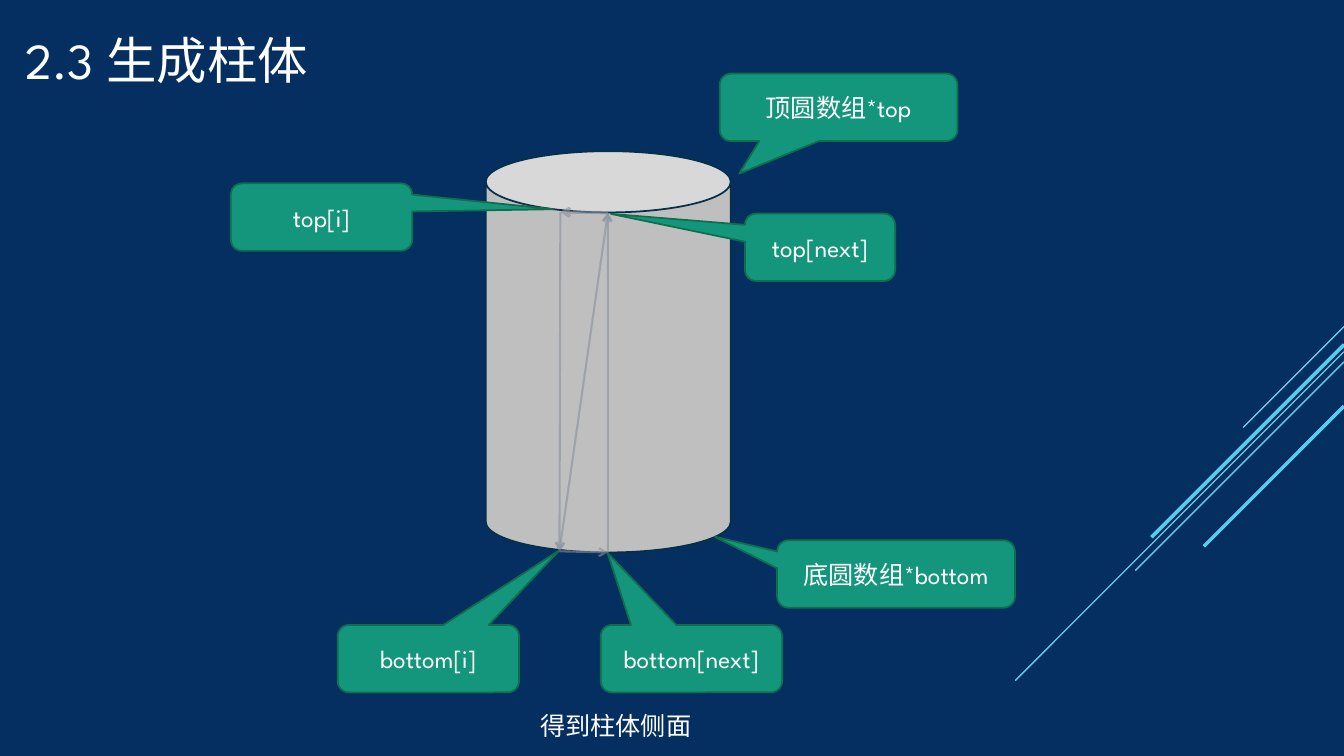
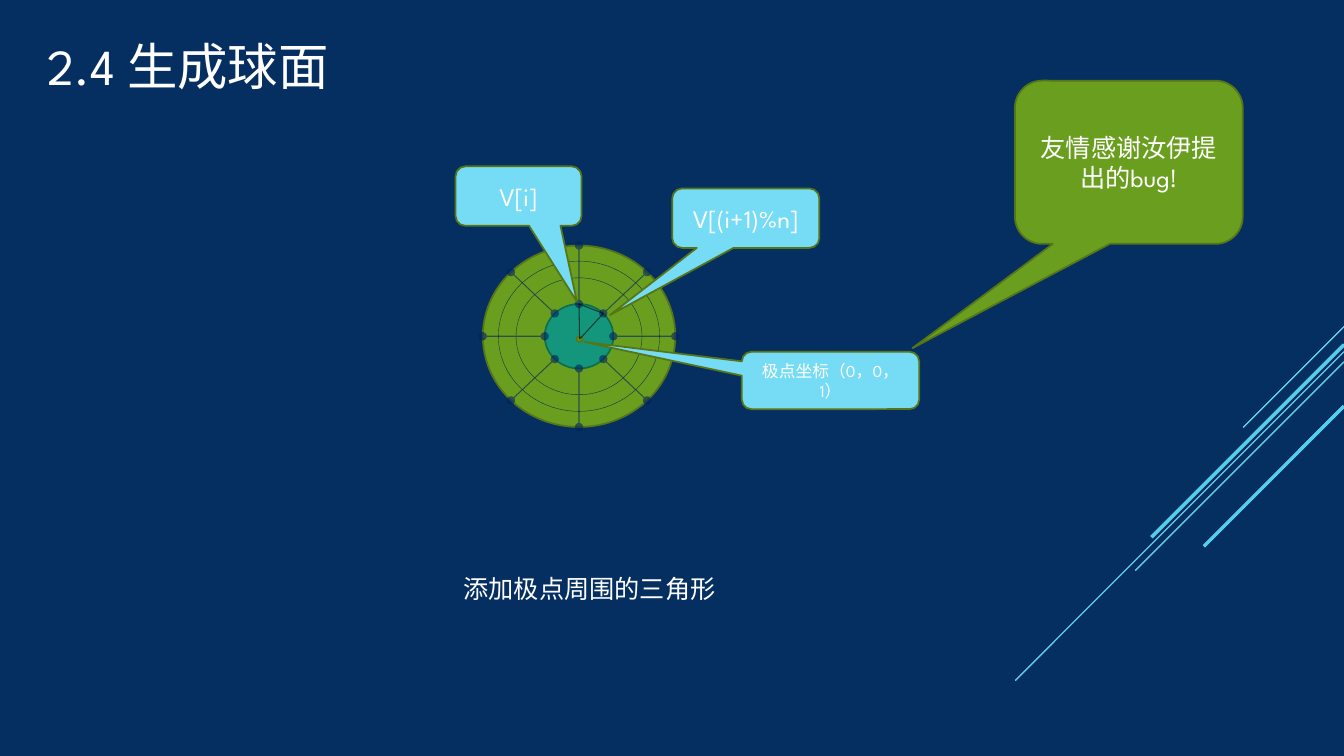
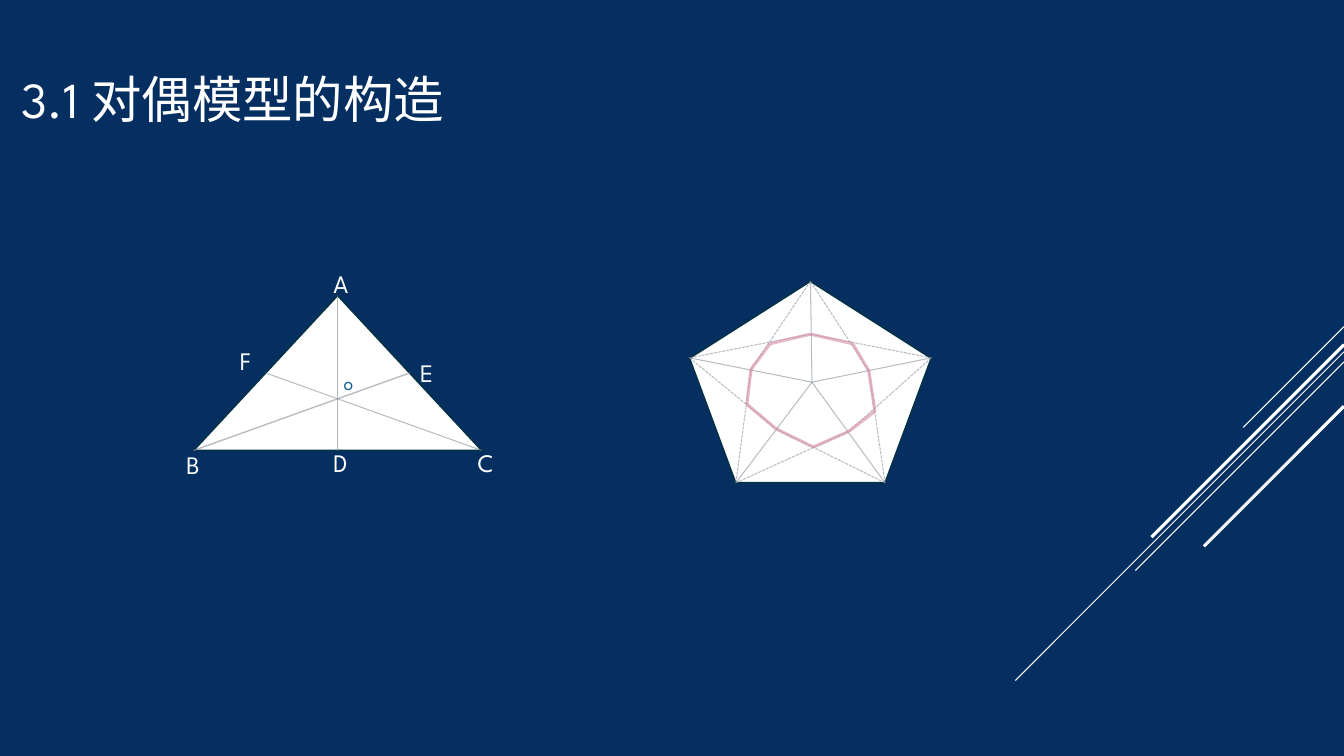
from itertools import pairwise
from math import cos, radians, sin

from pptx import Presentation
from pptx.dml.color import RGBColor
from pptx.enum.dml import MSO_LINE
from pptx.enum.shapes import MSO_CONNECTOR, MSO_SHAPE
from pptx.enum.text import MSO_ANCHOR, PP_ALIGN
from pptx.oxml.ns import qn
from pptx.util import Pt
from lxml.etree import SubElement

FONT = "League Spartan"
NAVY = RGBColor(0x05, 0x2F, 0x61)
WHITE = RGBColor(0xFF, 0xFF, 0xFF)
BLACK = RGBColor(0, 0, 0)
CYAN = RGBColor(0x22, 0xC5, 0xED)
SKY = RGBColor(0x76, 0xDB, 0xF4)
TEAL = RGBColor(0x14, 0x96, 0x7C)
DARK_TEAL = RGBColor(0x0F, 0x6F, 0x4C)
GREEN = RGBColor(0x6A, 0x9E, 0x1F)
DARK_GREEN = RGBColor(0x56, 0x75, 0x17)
SILVER = RGBColor(0xBF, 0xBF, 0xBF)
GREY = RGBColor(0x89, 0x91, 0x9C)
INK = RGBColor(0x04, 0x31, 0x48)
SPOKE_BLUE = RGBColor(0x00, 0x20, 0x60)
LABEL_BLUE = RGBColor(0x14, 0x61, 0x94)
PINK = RGBColor(0xD6, 0x8B, 0xA6)

SLIDE_W, SLIDE_H = 960, 540

# Diagonal streaks: height at the right edge, horizontal run, weight
STREAKS = [
    (233.3, 72, 0.75),
    (251.3, 234.7, 0.75),
    (258.5, 149, 0.75),
    (246.2, 137.5, 2.25),
    (290.2, 100, 2.25),
]

# Cylinder: corners of the side strip, then callouts as text, box, tip
CYLINDER = (347, 108, 175, 286.6)
TOP_I, TOP_NEXT = (400.3, 151.5), (434.2, 151.9)
BOTTOM_I, BOTTOM_NEXT = (399.6, 393.8), (434.2, 394.6)
CYLINDER_CALLOUTS = [
    ("bottom[i]", (241.2, 446.4, 129.6, 48.2), (399.7, 393)),
    ("顶圆数组*top", (514.1, 52.6, 169.9, 48.2), (528, 124.1)),
    ("底圆数组*bottom", (555.1, 385.9, 169.9, 48.2), (510.6, 383.4)),
    ("bottom[next]", (429.1, 446.4, 129.6, 48.2), (434, 394.9)),
    ("top[i]", (164.9, 131, 129.6, 48.2), (395.4, 149.5)),
    ("top[next]", (532.1, 152.6, 107.3, 48.2), (436.3, 152.8)),
]

# Sphere seen from its pole: circles as width, height
SPHERE_CENTRE, POLE = (413.6, 240.2), (414, 242.3)
SPHERE, CAP, POLE_DOT = (137.5, 129.6), (49, 46.1), (4.3, 3.6)
PARALLELS = [(90, 83.5), (115.2, 107.3)]
SPHERE_CALLOUTS = [
    ("V[i]", (325.4, 118.8, 90, 42.5), (412.1, 215.4), SKY, 18),
    ("V[(i+1)%n]", (480.2, 134.6, 105.1, 42.5), (435.7, 225.1), SKY, 18),
    ("极点坐标（0，0，1）", (529.9, 251.3, 126.7, 41), (417.5, 244.3), SKY, 12),
    ("友情感谢汝伊提出的bug!", (725, 57.6, 162.7, 116.6), (651.8, 248.7), GREEN, 18),
]

# Triangle with its medians, and labels as text, left, top, size, colour
TRIANGLE = A, B, C = (241.2, 211), (138.2, 321.8), (344.2, 321.8)
LABELS = [
    ("D", 231.1, 316.1, 18, WHITE),
    ("B", 126, 317.5, 18, WHITE),
    ("C", 334.1, 316.1, 18, WHITE),
    ("E", 293, 252, 18, WHITE),
    ("A", 231.1, 187.9, 18, WHITE),
    ("F", 164.2, 243.4, 18, WHITE),
    ("o", 238.3, 261.4, 14, LABEL_BLUE),
]

# Pentagon, clockwise from the top; odd points of the dual lie on its spokes
PENTAGON = (492.5, 200.9, 172.8, 144)
PENTAGON_CENTRE = (580, 273)
CORNERS = [(578.9, 200.9), (665.3, 255.6), (632.2, 344.9), (525.6, 344.9), (492.5, 255.6)]
DUAL = [
    (550.1, 245.5), (578.9, 238.7), (609.1, 245.5), (620.6, 265), (625, 293.8),
    (606.2, 308.2), (581, 319.3), (554.4, 306.4), (533.5, 288.7), (536.4, 263.9),
]


def points(values):
    return [Pt(value) for value in values]


def add_line(slide, start, end, color, weight, opacity=60, head=None, tail=None, dash=None):
    line = slide.shapes.add_connector(MSO_CONNECTOR.STRAIGHT, *points(start + end))
    line.line.color.rgb = color
    line.line.width = Pt(weight)
    if dash:
        line.line.dash_style = dash
    outline = line.line._get_or_add_ln()
    if opacity < 100:
        SubElement(outline.find(".//" + qn("a:srgbClr")), qn("a:alpha"), val=str(opacity * 1000))
    for tag, end_type in (("a:headEnd", head), ("a:tailEnd", tail)):
        if end_type:
            SubElement(outline, qn(tag), type=end_type)
    SubElement(line._element.spPr, qn("a:effectLst"))


def add_figure(slide, preset, box, fill, outline, weight=1.25):
    figure = slide.shapes.add_shape(preset, *points(box))
    figure.shadow.inherit = False
    if fill is None:
        figure.fill.background()
    else:
        figure.fill.solid()
        figure.fill.fore_color.rgb = fill
    figure.line.color.rgb = outline
    figure.line.width = Pt(weight)
    return figure


def add_ellipse(slide, centre, size, fill, outline, weight=1.25):
    (x, y), (width, height) = centre, size
    box = (x - width / 2, y - height / 2, width, height)
    add_figure(slide, MSO_SHAPE.OVAL, box, fill, outline, weight)


def style_text(frame, text, size, color=WHITE, align=PP_ALIGN.LEFT):
    frame.text = text
    paragraph = frame.paragraphs[0]
    paragraph.alignment = align
    paragraph.font.name = FONT
    paragraph.font.size = Pt(size)
    paragraph.font.color.rgb = color


def add_text(slide, text, box, size=18, color=WHITE, wrap=True):
    frame = slide.shapes.add_textbox(*points(box)).text_frame
    frame.word_wrap = wrap
    style_text(frame, text, size, color)
    return frame


def add_callout(slide, text, box, tip, fill, outline, size=18):
    """Add a rounded callout whose pointer ends at tip."""
    callout = add_figure(slide, MSO_SHAPE.ROUNDED_RECTANGULAR_CALLOUT, box, fill, outline)
    left, top, width, height = box
    callout.adjustments[0] = (tip[0] - left) / width - 0.5
    callout.adjustments[1] = (tip[1] - top) / height - 0.5
    callout.text_frame.vertical_anchor = MSO_ANCHOR.MIDDLE
    style_text(callout.text_frame, text, size, align=PP_ALIGN.CENTER)


def add_streaks(slide, color, opacity):
    for y, run, weight in STREAKS:
        add_line(slide, (SLIDE_W, y), (SLIDE_W - run, y + run), color, weight, opacity)


def add_slide(prs, title, left, top, tinted=True):
    slide = prs.slides.add_slide(prs.slide_layouts[6])
    add_streaks(slide, WHITE, 100)
    if tinted:
        add_streaks(slide, CYAN, 80)
    frame = add_text(slide, title, (left, top, 672, 118.8), 36)
    frame.vertical_anchor = MSO_ANCHOR.MIDDLE
    return slide


def rim(size, angle):
    """Point on a circle of the sphere, counted anticlockwise from the right."""
    x, y = SPHERE_CENTRE
    turn = radians(angle)
    return x + size[0] / 2 * cos(turn), y - size[1] / 2 * sin(turn)


def midpoint(p, q):
    return (p[0] + q[0]) / 2, (p[1] + q[1]) / 2


def build_cylinder(prs):
    slide = add_slide(prs, "2.3 生成柱体", 10.8, -17.3)
    add_figure(slide, MSO_SHAPE.CAN, CYLINDER, SILVER, INK)
    add_line(slide, TOP_I, BOTTOM_I, GREY, 1.5, tail="arrow")
    add_line(slide, BOTTOM_NEXT, TOP_NEXT, GREY, 1.5, tail="arrow")
    add_line(slide, BOTTOM_I, TOP_NEXT, GREY, 1.5, head="arrow", tail="arrow")
    for text, box, tip in CYLINDER_CALLOUTS:
        add_callout(slide, text, box, tip, TEAL, DARK_TEAL)
    add_line(slide, TOP_NEXT, TOP_I, GREY, 2.25, tail="arrow")
    add_line(slide, BOTTOM_I, BOTTOM_NEXT, GREY, 1.5, tail="arrow")
    add_text(slide, "得到柱体侧面", (378.7, 504, 123.8, 28.8), wrap=False)


def build_sphere(prs):
    slide = add_slide(prs, "2.4 生成球面", 26.6, -13)
    add_ellipse(slide, SPHERE_CENTRE, SPHERE, GREEN, DARK_GREEN)
    add_ellipse(slide, SPHERE_CENTRE, CAP, TEAL, DARK_TEAL)
    for angle in range(0, 360, 45):
        add_line(slide, rim(SPHERE, angle), rim(CAP, angle), SPOKE_BLUE, 0.75,
                 head="oval", tail="oval")
    for parallel in PARALLELS:
        add_ellipse(slide, SPHERE_CENTRE, parallel, None, INK, 0.25)
    add_ellipse(slide, POLE, POLE_DOT, GREEN, DARK_GREEN)
    for start, end in pairwise([POLE, rim(CAP, 90), rim(CAP, 45), POLE]):
        add_line(slide, start, end, BLACK, 0.75)
    for text, box, tip, fill, size in SPHERE_CALLOUTS:
        add_callout(slide, text, box, tip, fill, DARK_GREEN, size)
    add_text(slide, "添加极点周围的三角形", (324, 406.1, 196.6, 28.8), wrap=False)


def build_dual(prs):
    slide = add_slide(prs, "3.1 对偶模型的构造", 8.6, 10.8, tinted=False)
    triangle_box = (B[0], A[1], C[0] - B[0], B[1] - A[1])
    add_figure(slide, MSO_SHAPE.ISOSCELES_TRIANGLE, triangle_box, WHITE, INK)
    for k, weight in enumerate((0.75, 1, 0.75)):
        opposite = midpoint(TRIANGLE[k - 1], TRIANGLE[k - 2])
        add_line(slide, TRIANGLE[k], opposite, GREY, weight)
    for text, left, top, size, color in LABELS:
        add_text(slide, text, (left, top, 25.9, 28.8), size, color)

    add_figure(slide, MSO_SHAPE.REGULAR_PENTAGON, PENTAGON, WHITE, INK)
    for k, corner in enumerate(CORNERS):
        add_line(slide, corner, PENTAGON_CENTRE, GREY, 0.75)
        for neighbour in (k - 1, k + 1):
            target = DUAL[(2 * neighbour + 1) % len(DUAL)]
            add_line(slide, corner, target, GREY, 0.75, dash=MSO_LINE.SQUARE_DOT)
    for start, end in pairwise(DUAL + DUAL[:1]):
        add_line(slide, start, end, PINK, 2.25)


def main():
    prs = Presentation()
    prs.slide_width, prs.slide_height = Pt(SLIDE_W), Pt(SLIDE_H)
    background = prs.slide_master.background.fill
    background.solid()
    background.fore_color.rgb = NAVY
    build_cylinder(prs)
    build_sphere(prs)
    build_dual(prs)
    prs.save("out.pptx")


if __name__ == "__main__":
    main()
